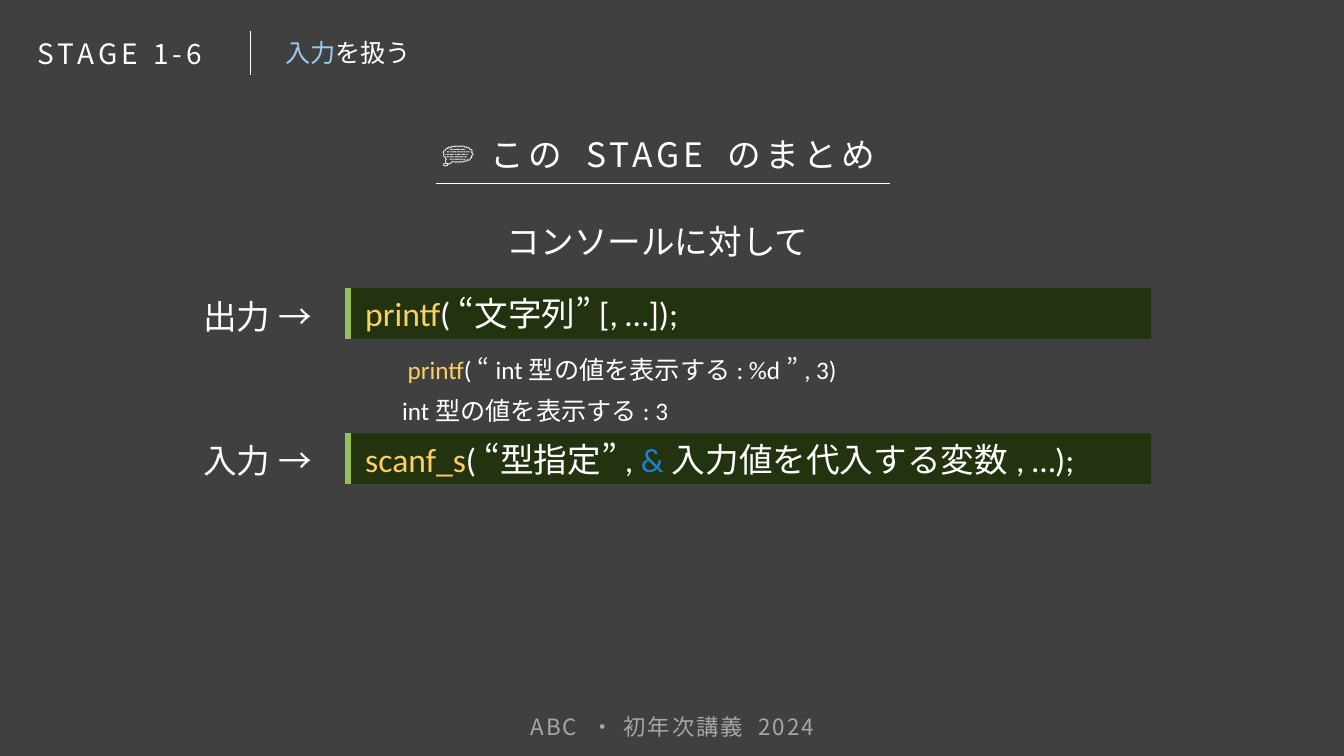
from pptx import Presentation
from pptx.util import Pt
from pptx.dml.color import RGBColor
from pptx.enum.shapes import MSO_SHAPE, MSO_CONNECTOR
from pptx.enum.text import PP_ALIGN, MSO_ANCHOR, MSO_AUTO_SIZE
from pptx.oxml.ns import qn
from lxml.etree import SubElement

WHITE = RGBColor(0xFF, 0xFF, 0xFF)
GREY = RGBColor(0xA6, 0xA6, 0xA6)
DARK = RGBColor(0x40, 0x40, 0x40)
MOSS = RGBColor(0x24, 0x33, 0x0F)
GREEN = RGBColor(0x96, 0xC0, 0x58)
GOLD = RGBColor(0xFA, 0xCF, 0x64)
BLUE = RGBColor(0x1D, 0x81, 0xD3)
SKY = RGBColor(0x9B, 0xCA, 0xF1)
SANS = "Noto Sans CJK JP"
CODE = "Calibri"
MID = PP_ALIGN.CENTER
LEFT = PP_ALIGN.LEFT

FOOT = [[("ABC ・ 初年次講義 2024", GREY)]]
STAGE = [[("STAGE 1-6", WHITE)]]
TOPIC = [[("入力", SKY), ("を扱う", WHITE)]]
TITLE = [[("💭 この STAGE のまとめ", WHITE)]]
LEAD = [[("コンソールに対して", WHITE)]]
SAMPLE = [
    [(" ", WHITE), ("printf", GOLD), ("(“int型の値を表示する: %d”, 3)", WHITE)],
    [("int型の値を表示する: 3", WHITE)],
]
CALLS = [
    ("出力 →", 211, 205.92,
     [(" ", WHITE), ("printf", GOLD), ("(“文字列”[, …]);", WHITE)]),
    ("入力 →", 313.9, 309.6,
     [(" ", WHITE), ("scanf_s", GOLD), ("(“型指定”, ", WHITE), ("&", BLUE),
      ("入力値を代入する変数, …);", WHITE)]),
]
BAR_X, BAR_W, BAR_H = 248.4, 573.84, 36


def write(frame, paras, size, font=SANS, align=LEFT, gap=0, body=False):
    frame.word_wrap = True
    for i, runs in enumerate(paras):
        para = frame.paragraphs[0] if i == 0 else frame.add_paragraph()
        para.alignment = align
        if body:
            para.line_spacing = 0.9
            para.space_before = Pt(10)
        for text, color in runs:
            run = para.add_run()
            run.text = text
            run.font.size = Pt(size)
            run.font.name = font
            run.font.color.rgb = color
            props = run.font._element
            props.set("lang", "ja-JP")
            if gap:
                props.set("spc", str(int(gap * 100)))
            SubElement(props, qn("a:ea")).set("typeface", SANS)


def label(box, paras, size, grow=False, **style):
    frame = slide.shapes.add_textbox(*map(Pt, box)).text_frame
    write(frame, paras, size, **style)
    if grow:
        frame.auto_size = MSO_AUTO_SIZE.SHAPE_TO_FIT_TEXT


def rule(shapes, ends, color, width):
    line = shapes.add_connector(MSO_CONNECTOR.STRAIGHT, *map(Pt, ends))
    line.line.color.rgb = color
    line.line.width = Pt(width)
    SubElement(line._element.spPr, qn("a:effectLst"))


def code(top, runs):
    shapes = slide.shapes.add_group_shape().shapes
    bar = shapes.add_shape(MSO_SHAPE.RECTANGLE, Pt(BAR_X), Pt(top), Pt(BAR_W), Pt(BAR_H))
    bar.shadow.inherit = False
    bar.fill.solid()
    bar.fill.fore_color.rgb = MOSS
    bar.line.fill.background()
    bar.text_frame.vertical_anchor = MSO_ANCHOR.MIDDLE
    write(bar.text_frame, [runs], 24, CODE)
    rule(shapes, (BAR_X, top, BAR_X, top + BAR_H), GREEN, 4)


deck = Presentation()
deck.slide_width, deck.slide_height = Pt(960), Pt(540)
slide = deck.slides.add_slide(deck.slide_layouts[6])
slide.background.fill.solid()
slide.background.fill.fore_color.rgb = DARK

label((318.24, 506.16, 324, 28.8), FOOT, 16, align=MID, gap=1.5)
label((0, 22.3, 171.4, 31.7), STAGE, 20, grow=True, align=MID, gap=3)
rule(slide.shapes, (178.56, 22.3, 178.56, 53.3), WHITE, 0.5)
label((196.56, 23, 625, 28.8), TOPIC, 18, grow=True)
label((283, 92.16, 374.4, 36), TITLE, 24, grow=True, align=MID, gap=3)
rule(slide.shapes, (311.76, 131, 635.76, 131), WHITE, 0.5)
label((234.72, 157.68, 470.16, 36), LEAD, 24, align=MID, body=True)
for name, y, top, runs in CALLS:
    code(top, runs)
    label((97.2, y, 173.52, 36), [[(name, WHITE)]], 24, align=MID, body=True)
label((280.08, 252, 527.76, 57.6), SAMPLE, 18, font=CODE, body=True)

deck.save("out.pptx")
